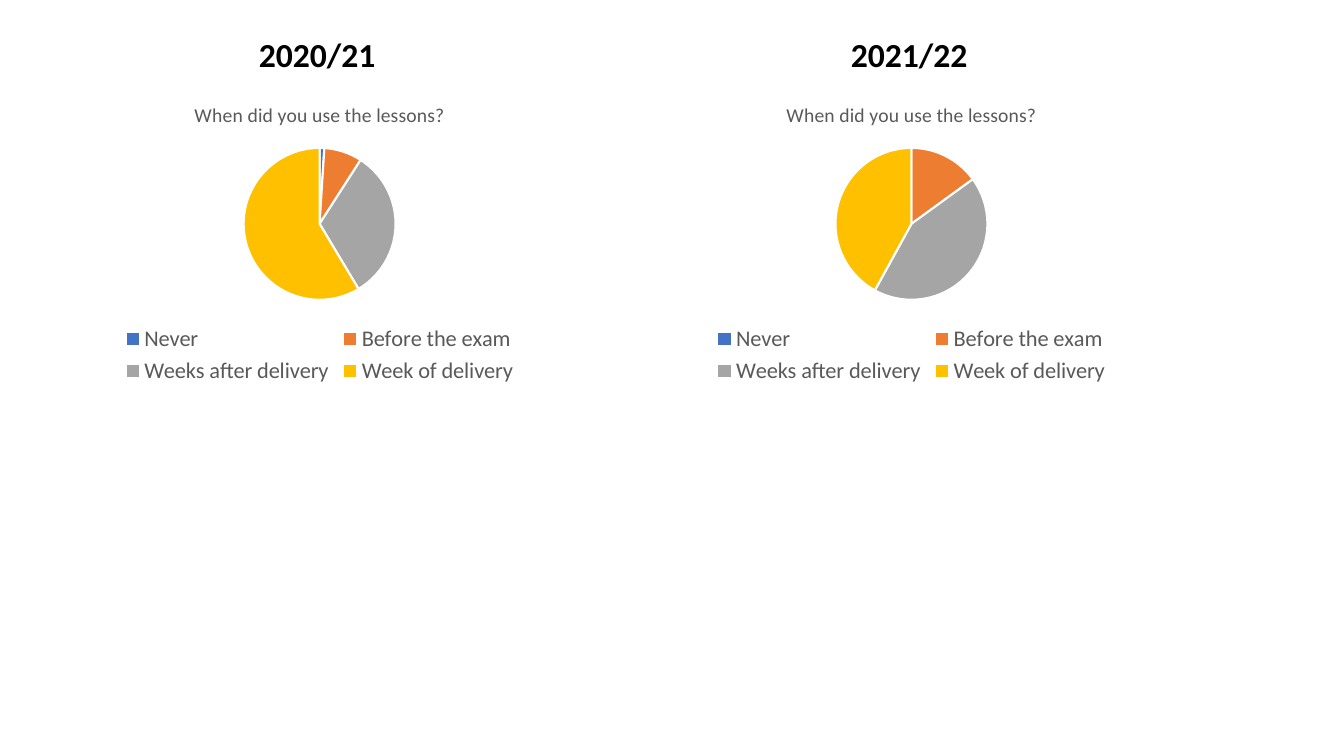
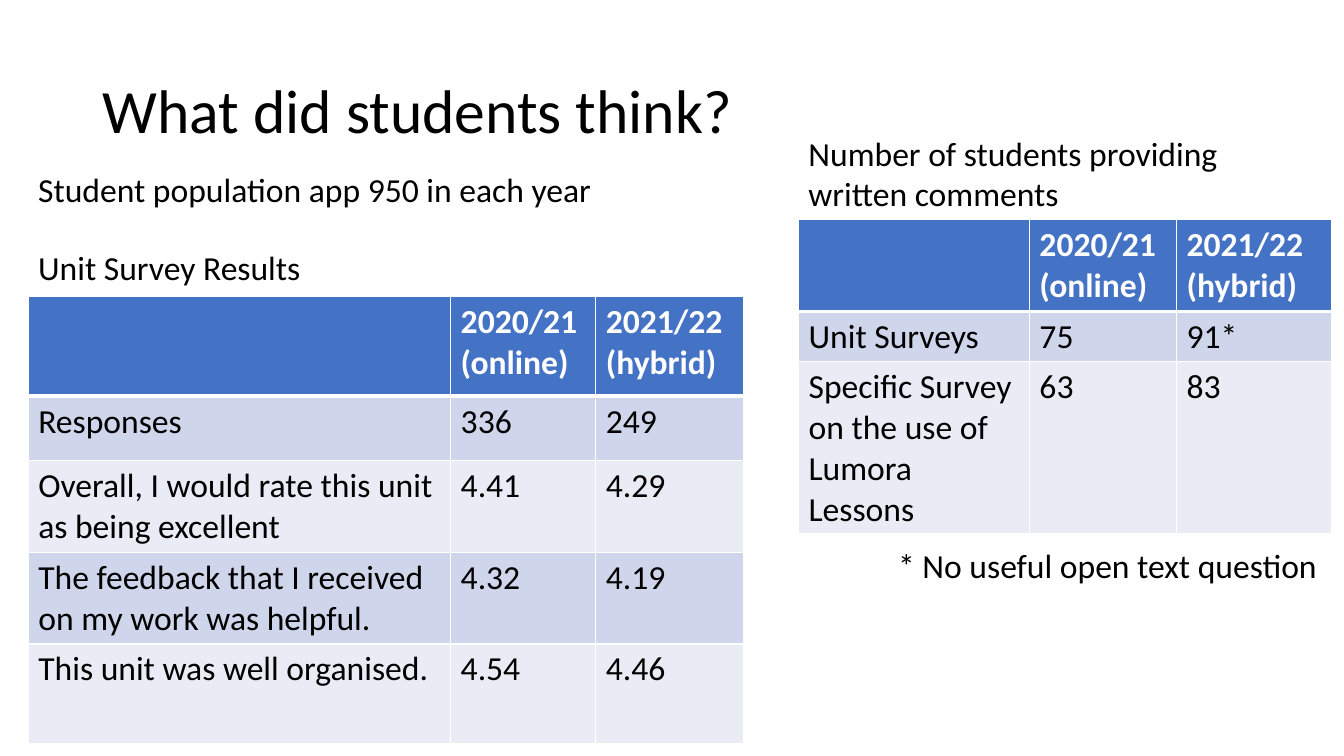
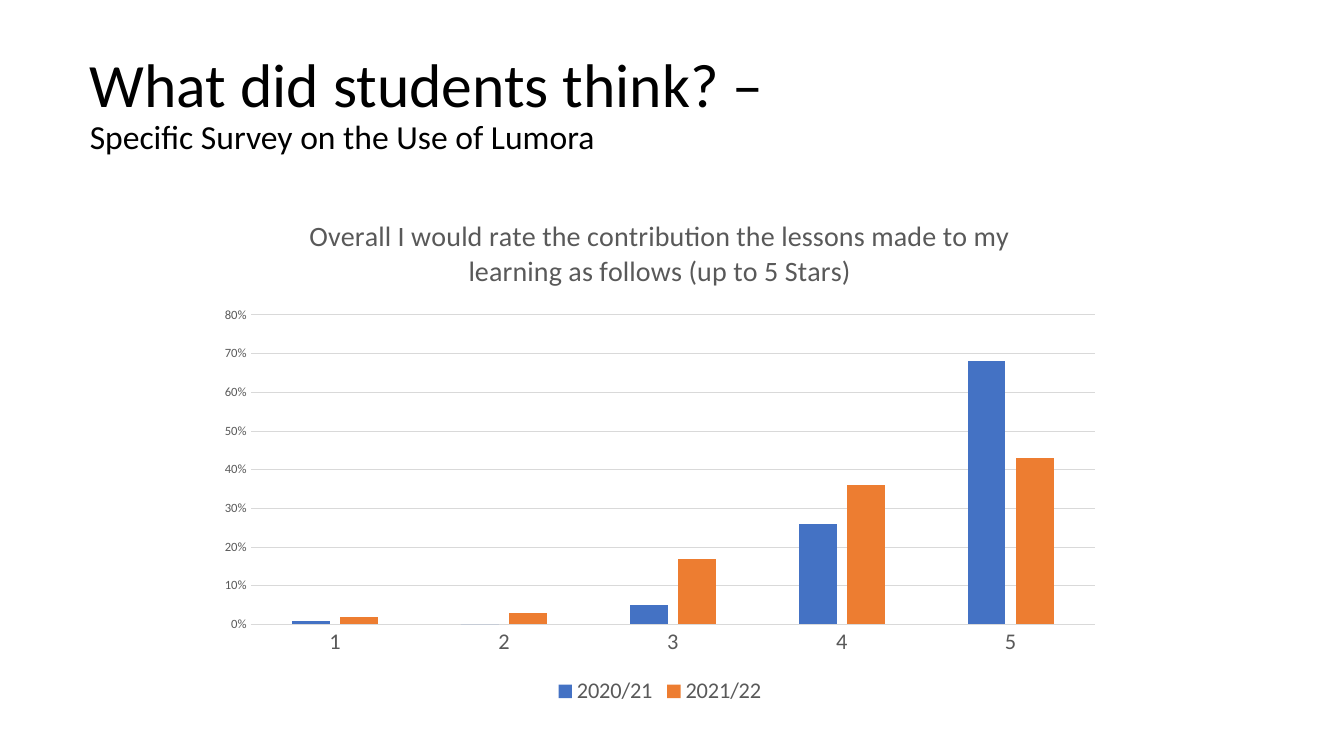
from pptx import Presentation
from pptx.chart.data import CategoryChartData
from pptx.dml.color import RGBColor
from pptx.enum.chart import XL_CHART_TYPE as ChartType
from pptx.enum.chart import XL_LEGEND_POSITION as LegendSpot
from pptx.enum.chart import XL_TICK_MARK as TickMark
from pptx.enum.text import MSO_ANCHOR as Anchor
from pptx.enum.text import MSO_AUTO_SIZE as AutoSize
from pptx.enum.text import PP_ALIGN as Align
from pptx.oxml import parse_xml
from pptx.oxml.ns import nsdecls
from pptx.util import Pt

PX = 9144
TITLE_ONLY, BLANK = 5, 6
FONT = "Calibri"
COLORS = {
    "text": "000000", "muted": "595959", "rule": "D9D9D9", "white": "FFFFFF",
    "blue": "4472C4", "orange": "ED7D31", "gray": "A5A5A5", "gold": "FFC000",
    "band_dark": "CFD5EA", "band_light": "E9EBF5",
}
SERIES_COLORS = ["blue", "orange", "gray", "gold"]
YEARS = ["2020/21", "2021/22"]
SURVEY_HEADER = ["", "2020/21 \v(online)", "2021/22 \v(hybrid)"]
TIMING = ["Never", "Before the exam", "Weeks after delivery", "Week of delivery"]


def emu(*lengths):
    """Turn px lengths into EMU."""
    return [length * PX for length in lengths]


def rgb(name):
    """Look up a palette colour."""
    return RGBColor.from_string(COLORS[name])


def apply(target, **values):
    """Set attributes of an object from format values."""
    for name, value in values.items():
        setattr(target, name, value)


def style_font(font, size, color="text", bold=False):
    """Format a font in the deck's typeface."""
    apply(font, name=FONT, size=Pt(size), bold=bold)
    font.color.rgb = rgb(color)


def style_runs(para, size, color="text", bold=False):
    """Format every run of a paragraph."""
    for span in para.runs:
        style_font(span.font, size, color, bold)


def style_line(line, color, width):
    """Give an outline its colour and width in points."""
    line.color.rgb = rgb(color)
    line.width = Pt(width)


def set_title(page, box, heading, subheading=""):
    """Place the title placeholder with an optional smaller second line."""
    title = page.shapes.title
    left, top, width, height = emu(*box)
    apply(title, left=left, top=top, width=width, height=height)
    frame = title.text_frame
    apply(frame, auto_size=AutoSize.NONE, vertical_anchor=Anchor.MIDDLE, word_wrap=True)
    para = frame.paragraphs[0]
    apply(para, alignment=Align.LEFT, line_spacing=0.9)
    para.add_run().text = heading
    style_runs(para, 44)
    if subheading:
        para.add_line_break()
        span = para.add_run()
        span.text = subheading
        style_font(span.font, 24)


def add_label(page, box, text, bold=False):
    """Add a text box that hugs its text."""
    frame = page.shapes.add_textbox(*emu(*box)).text_frame
    frame.text = text
    apply(frame, word_wrap=False, auto_size=AutoSize.SHAPE_TO_FIT_TEXT)
    style_runs(frame.paragraphs[0], 24, bold=bold)


def add_titled_chart(page, box, kind, data, title, title_size):
    """Add a chart with a title above and a legend below."""
    chart = page.shapes.add_chart(kind, *emu(*box), data).chart
    style_font(chart.font, 10)
    chart.has_title = True
    para = chart.chart_title.text_frame.paragraphs[0]
    para.add_run().text = title
    style_runs(para, title_size, "muted")
    chart.has_legend = True
    apply(chart.legend, position=LegendSpot.BOTTOM, include_in_layout=False)
    style_font(chart.legend.font, 16, "muted")
    return chart


def add_year_pie(page, left, top, year, shares):
    """Place a year heading over the pie of when lessons were used."""
    data = CategoryChartData()
    data.categories = TIMING
    data.add_series("Series 1", shares)
    chart = add_titled_chart(page, (left, top + 57, 500, 300), ChartType.PIE, data,
                             "When did you use the lessons?", 14)
    plot = chart.plots[0]
    plot.vary_by_categories = True
    for index, color in enumerate(SERIES_COLORS):
        point = plot.series[0].points[index].format
        point.fill.solid()
        point.fill.fore_color.rgb = rgb(color)
        style_line(point.line, "white", 1.5)
    add_label(page, (left + 180, top, 137, 50), year, bold=True)


def add_borders(cell, top, bottom):
    """Draw white cell borders, with top and bottom widths in points."""
    properties = cell._tc.get_or_add_tcPr()
    for index, (side, width) in enumerate(zip("LRTB", (1, 1, top, bottom))):
        properties.insert(index, parse_xml(
            f'<a:ln{side} {nsdecls("a")} w="{Pt(width)}"><a:solidFill>'
            f'<a:srgbClr val="{COLORS["white"]}"/></a:solidFill></a:ln{side}>'))


def add_survey_table(page, left, top, widths, heights, body):
    """Add a banded table under the shared year header."""
    rows = [SURVEY_HEADER] + body
    table = page.shapes.add_table(
        len(rows), len(widths), *emu(left, top, sum(widths), sum(heights))).table
    for column, width in zip(table.columns, emu(*widths)):
        column.width = width
    for index, (row, height, texts) in enumerate(zip(table.rows, emu(*heights), rows)):
        row.height = height
        header = index == 0
        band = "blue" if header else ("band_light", "band_dark")[index % 2]
        for cell, text in zip(row.cells, texts):
            cell.text = text
            style_runs(cell.text_frame.paragraphs[0], 24,
                       "white" if header else "text", header)
            cell.fill.solid()
            cell.fill.fore_color.rgb = rgb(band)
            add_borders(cell, 3 if index == 1 else 1, 3 if header else 1)


def add_rating_chart(page, box):
    """Add the star ratings of both years as clustered columns."""
    data = CategoryChartData(number_format="0%")
    data.categories = ["1", "2", "3", "4", "5"]
    ratings = [(0.01, 0, 0.05, 0.26, 0.68), (0.02, 0.03, 0.17, 0.36, 0.43)]
    for year, shares in zip(YEARS, ratings):
        data.add_series(year, shares)
    chart = add_titled_chart(
        page, box, ChartType.COLUMN_CLUSTERED, data,
        "Overall I would rate the contribution the lessons made to my "
        "learning as follows (up to 5 Stars)", 20)
    plot = chart.plots[0]
    apply(plot, gap_width=219, overlap=-27, vary_by_categories=False)
    for series, color in zip(plot.series, SERIES_COLORS):
        series.format.fill.solid()
        series.format.fill.fore_color.rgb = rgb(color)
    for axis, size in ((chart.category_axis, 16), (chart.value_axis, 9)):
        apply(axis, major_tick_mark=TickMark.NONE, minor_tick_mark=TickMark.NONE)
        style_font(axis.tick_labels.font, size, "muted")
    style_line(chart.category_axis.format.line, "rule", 0.75)
    scale = chart.value_axis
    apply(scale, minimum_scale=0, maximum_scale=0.8, major_unit=0.1)
    apply(scale.tick_labels, number_format="0%", number_format_is_linked=False)
    scale.format.line.fill.background()
    style_line(scale.major_gridlines.format.line, "rule", 0.75)


def build_timing_slide(page):
    """Compare when lessons were used in the two years."""
    shares = [(1, 8, 32, 58), (0, 15, 43, 42)]
    for left, year, values in zip((67, 654), YEARS, shares):
        add_year_pie(page, left, 29, year, values)


def build_survey_slide(page):
    """Show the unit survey scores beside the comment counts."""
    set_title(page, (92, 40, 1150, 145), "What did students think?")
    add_label(page, (28, 163, 574, 50), "Student population app 950 in each year")
    add_survey_table(page, 792, 218, (229, 146, 154), (91, 50, 170), [
        ["Unit Surveys", "75", "91*"],
        ["Specific Survey on the use of Lumora Lessons", "63", "83"],
    ])
    add_label(page, (792, 127, 437, 91),
              "Number of students providing \vwritten comments")
    add_survey_table(page, 28, 294, (419, 144, 147), (99, 64, 91, 91, 99), [
        ["Responses", "336", "249"],
        ["Overall, I would rate this unit as being excellent", "4.41", "4.29"],
        ["The feedback that I received on my work was helpful.", "4.32", "4.19"],
        ["This unit was well organised.", "4.54", "4.46"],
    ])
    add_label(page, (28, 240, 283, 50), "Unit Survey Results")
    add_label(page, (881, 536, 440, 50), "* No useful open text question")


def build_rating_slide(page):
    """Show the star ratings under a two-line title."""
    set_title(page, (79, 32, 1150, 145), "What did students think? –",
              "Specific Survey on the Use of Lumora")
    add_rating_chart(page, (205, 194, 899, 510))


def main():
    """Build and save the deck."""
    deck = Presentation()
    deck.slide_width, deck.slide_height = emu(1333, 750)
    for layout, build in ((BLANK, build_timing_slide),
                          (TITLE_ONLY, build_survey_slide),
                          (TITLE_ONLY, build_rating_slide)):
        build(deck.slides.add_slide(deck.slide_layouts[layout]))
    deck.save("out.pptx")


if __name__ == "__main__":
    main()
